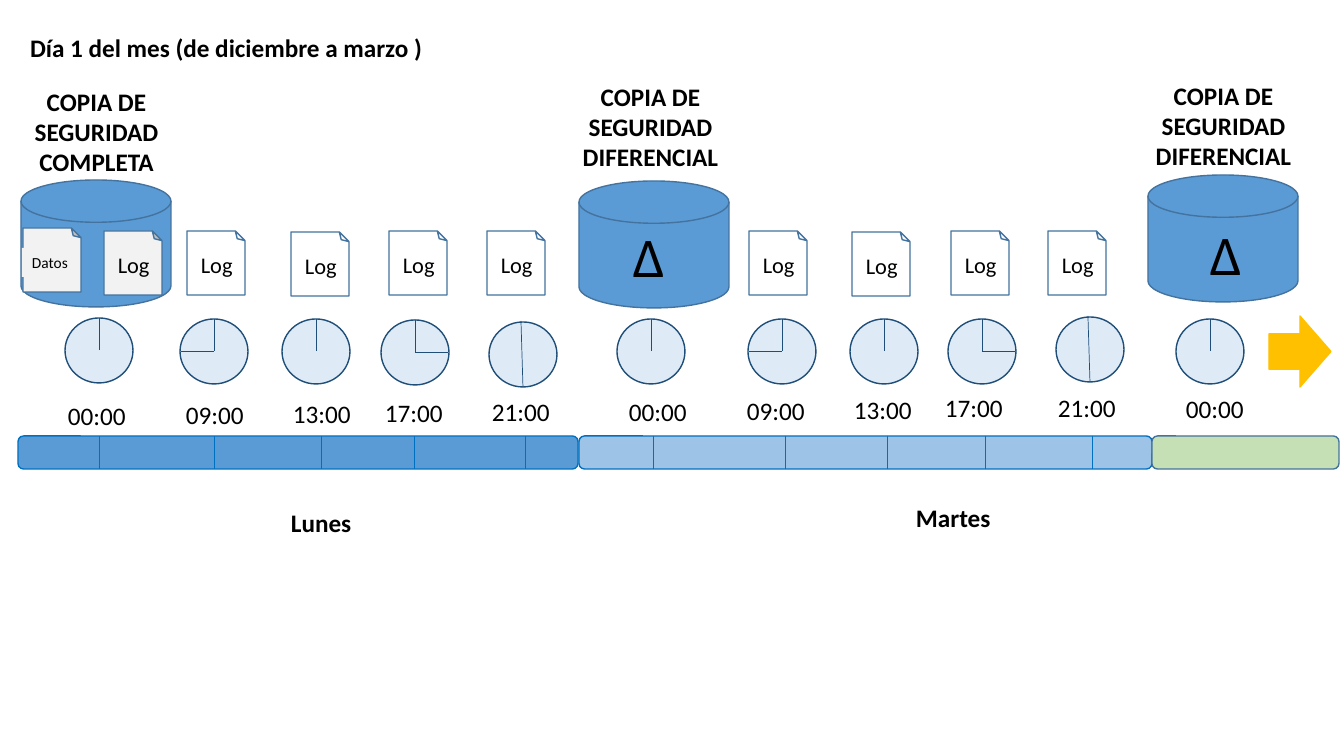
from lxml import etree
from pptx import Presentation
from pptx.dml.color import RGBColor
from pptx.enum.shapes import MSO_CONNECTOR, MSO_SHAPE
from pptx.enum.text import MSO_ANCHOR, PP_ALIGN
from pptx.oxml.ns import qn
from pptx.util import Pt

PX = 12192000 / 1344
DISK = MSO_SHAPE.FLOWCHART_MAGNETIC_DISK
PAGE, ELLIPSE = MSO_SHAPE.FOLDED_CORNER, MSO_SHAPE.OVAL
BAR, ARROW = MSO_SHAPE.ROUNDED_RECTANGLE, MSO_SHAPE.RIGHT_ARROW
STRAIGHT, TOP = MSO_CONNECTOR.STRAIGHT, MSO_ANCHOR.TOP
LEFT, CENTER = PP_ALIGN.LEFT, PP_ALIGN.CENTER
FONT = "Calibri"
C = {"text": "000000", "blue": "5B9BD5", "edge": "43739E", "clock": "DEEBF7",
     "hand": "1F4E79", "bar_edge": "0070C0", "tuesday": "9DC3E6",
     "next_day": "C5E0B4", "arrow": "FFC000", "paper": "F2F2F2"}

TITLE = "Día 1 del mes (de diciembre a marzo )"
BACKUPS = [
    (21, 180, -2, 81, "COMPLETA", None),
    (579, 181, 552, 76, "DIFERENCIAL", (623, 217)),
    (1148, 175, 1125, 75, "DIFERENCIAL", (1200, 215)),
]
LOGS = [(187, 231), (291, 232), (389, 231), (487, 231),
        (749, 231), (852, 232), (951, 231), (1048, 231)]
CLOCKS = [
    ("00:00", 65, 318, 58, 395), ("09:00", 180, 319, 176, 394),
    ("13:00", 282, 319, 283, 393), ("17:00", 381, 320, 375, 392),
    ("21:00", 489, 322, 482, 391), ("00:00", 617, 319, 619, 391),
    ("09:00", 748, 319, 737, 390), ("13:00", 850, 319, 844, 389),
    ("17:00", 948, 319, 935, 387), ("21:00", 1056, 317, 1048, 387),
    ("00:00", 1176, 319, 1176, 388),
]
UP = (34, 0, 34, 32)
HANDS = {"00:00": [UP], "13:00": [UP],
         "09:00": [UP, (1, 32, 34, 32)],
         "17:00": [UP, (34, 32, 67, 32)],
         "21:00": [(32, -1, 34, 65)]}
BARS = [
    (18, 560, "blue", "bar_edge", [99, 214, 321, 414, 525]),
    (579, 573, "tuesday", "bar_edge", [653, 785, 887, 985, 1092]),
    (1152, 187, "next_day", "edge", []),
]
DAYS = [("Lunes", 281, 502, 81), ("Martes", 906, 497, 96)]
BAR_Y, BAR_H = 436, 33
PAGE_W, PAGE_H = 58, 64

prs = Presentation()
prs.slide_width, prs.slide_height = round(1344 * PX), round(756 * PX)
s = prs.slides.add_slide(prs.slide_layouts[5])


def emu(*lengths):
    return [round(v * PX) for v in lengths]


def rgb(name):
    return RGBColor.from_string(C[name])


def shape(kind, x, y, w, h, fill, line):
    sp = s.shapes.add_shape(kind, *emu(x, y, w, h))
    sp.shadow.inherit = False
    if fill:
        sp.fill.solid()
        sp.fill.fore_color.rgb = rgb(fill)
    else:
        sp.fill.background()
    sp.line.color.rgb = rgb(line)
    sp.line.width = Pt(1)
    return sp


def line(x1, y1, x2, y2, color):
    ln = s.shapes.add_connector(STRAIGHT, *emu(x1, y1, x2, y2))
    ln.line.color.rgb = rgb(color)
    ln.line.width = Pt(0.5)
    etree.SubElement(ln._element.spPr, qn("a:effectLst"))


def write(tf, lines, size, bold=False, align=LEFT, wrap=False):
    tf.word_wrap = wrap
    tf.vertical_anchor = TOP
    for i, text in enumerate(lines):
        p = tf.paragraphs[0] if i == 0 else tf.add_paragraph()
        p.alignment = align
        p.line_spacing = 1.0
        r = p.add_run()
        r.text = text
        r.font.name, r.font.size, r.font.bold = FONT, Pt(size), bold
        r.font.color.rgb = rgb("text")


def label(lines, x, y, w, h, size, fill=None, **style):
    sp = s.shapes.add_textbox(*emu(x, y, w, h))
    if fill:
        sp.fill.solid()
        sp.fill.fore_color.rgb = rgb(fill)
    write(sp.text_frame, lines, size, **style)


def page(x, y, fill=None):
    sp = shape(PAGE, x, y, PAGE_W, PAGE_H, fill, "edge")
    sp._element.spPr.find(qn("a:xfrm")).set("flipV", "1")


def log_page(x, y, fill=None):
    page(x, y, fill)
    label(["Log"], x + 4, y + 15, 52, 37, 16, fill)


title = s.shapes.title
title.left, title.top, title.width, title.height = emu(20, 27, 421, 40)
write(title.text_frame, [TITLE], 18, bold=True)

for x, y, caption_x, caption_y, kind, delta in BACKUPS:
    shape(DISK, x, y, 150, 127, "blue", "edge")
    label(["COPIA DE SEGURIDAD", kind], caption_x, caption_y, 197, 102, 18,
          bold=True, align=CENTER, wrap=True)
    if delta:
        label(["Δ"], *delta, 52, 78, 40)

for x, y in LOGS:
    log_page(x, y)
log_page(104, 231, "paper")
page(23, 228, "paper")
label(["Datos"], 22, 248, 57, 29, 11, "paper", wrap=True)

for time, x, y, time_x, time_y in CLOCKS:
    shape(ELLIPSE, x, y, 68, 65, "clock", "hand")
    for x1, y1, x2, y2 in HANDS[time]:
        line(x + x1, y + y1, x + x2, y + y2, "hand")
    label([time], time_x, time_y, 79, 40, 18)

for x, w, fill, edge, ticks in BARS:
    shape(BAR, x, BAR_Y, w, BAR_H, fill, edge)
    for tick in ticks:
        line(tick, BAR_Y, tick, BAR_Y + BAR_H, edge)

for day, x, y, w in DAYS:
    label([day], x, y, w, 40, 18, bold=True)
shape(ARROW, 1269, 316, 62, 71, "arrow", "arrow")

prs.save("out.pptx")
